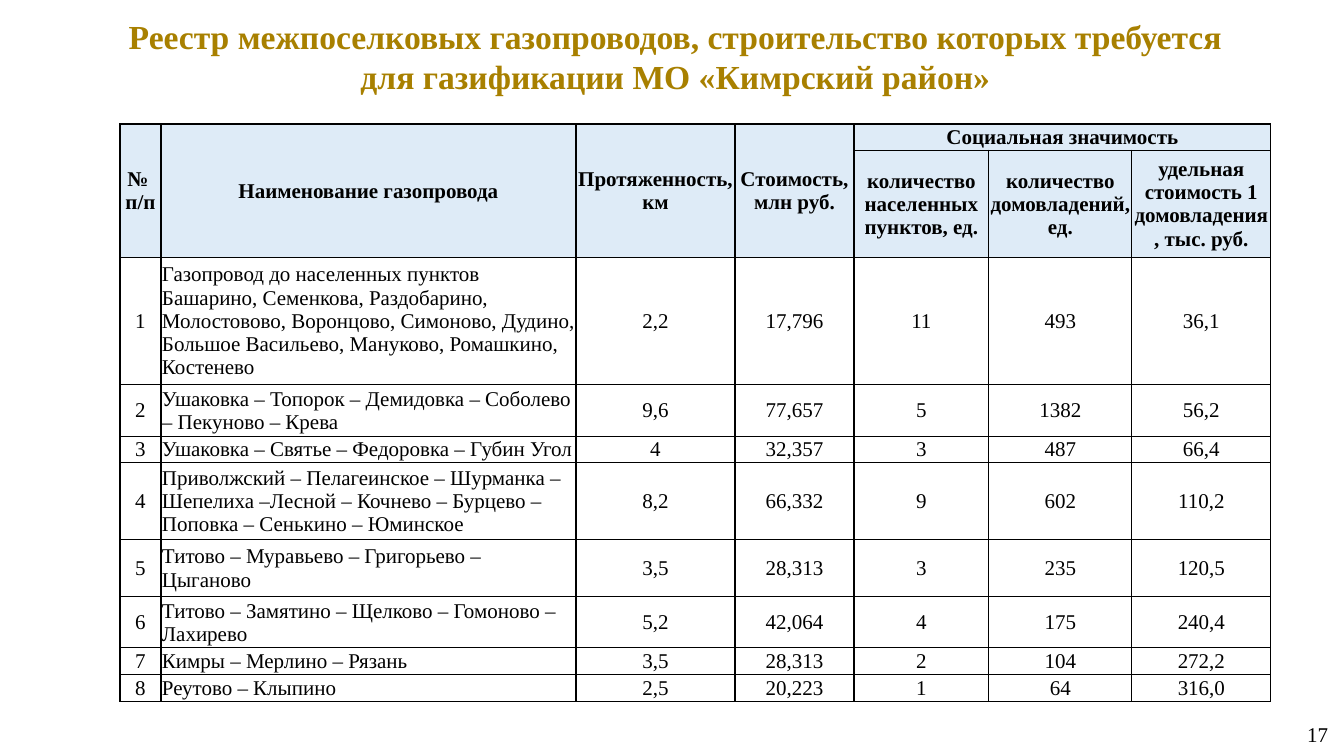
"""Build the slide with the register of inter-settlement gas pipelines."""
from lxml import etree
from pptx import Presentation, util as u
from pptx.dml.color import RGBColor
from pptx.enum import text as t

PX = 12192000 / 1344
FONT = "Times New Roman"
HUES = {"gold": "A88000", "ink": "000000", "head": "DEEBF7"}
NS = "http://schemas.openxmlformats.org/drawingml/2006/main"


def px(*nums):
    return [u.Emu(round(n * PX)) for n in nums]


def style(frame, size, hue, bold, align):
    frame.word_wrap = True
    for para in frame.paragraphs:
        para.alignment = align
        for run in para.runs:
            run.font.name = FONT
            run.font.size = u.Pt(size)
            run.font.bold = bold
            run.font.color.rgb = RGBColor.from_string(HUES[hue])


deck = Presentation()
deck.slide_width, deck.slide_height = px(1344, 756)
slide = deck.slides.add_slide(deck.slide_layouts[5])

title = slide.shapes.title
title.left, title.top, title.width, title.height = px(87, 11, 1185, 92)
frame = title.text_frame
frame.text = ("Реестр межпоселковых газопроводов, строительство которых требуется \n"
              "для газификации МО «Кимрский район» ")
frame.auto_size = t.MSO_AUTO_SIZE.NONE
frame.vertical_anchor = t.MSO_ANCHOR.TOP
style(frame, 24, "gold", True, t.PP_ALIGN.CENTER)

page = slide.shapes.add_textbox(*px(1065, 704, 273, 61)).text_frame
page.text = "17"
page.vertical_anchor = t.MSO_ANCHOR.MIDDLE
style(page, 15, "ink", False, t.PP_ALIGN.RIGHT)

rows = [
    ["№ \vп/п", "Наименование газопровода", "Протяженность, км",
     "Стоимость, млн руб.", "Социальная значимость", "", ""],
    ["", "", "", "", "количество населенных пунктов, ед.",
     "количество\nдомовладений, ед.",
     "удельная стоимость 1 домовладения, тыс. руб."],
    ["1", "Газопровод до населенных пунктов Башарино, Семенкова, Раздобарино, "
     "Молостовово, Воронцово, Симоново, Дудино, Большое Васильево, Мануково, "
     "Ромашкино, Костенево", "2,2", "17,796", "11", "493", "36,1"],
    ["2", "Ушаковка – Топорок – Демидовка – Соболево – Пекуново – Крева",
     "9,6", "77,657", "5", "1382", "56,2"],
    ["3", "Ушаковка – Святье – Федоровка – Губин Угол",
     "4", "32,357", "3", "487", "66,4"],
    ["4", "Приволжский – Пелагеинское – Шурманка – Шепелиха –Лесной – Кочнево – "
     "Бурцево – Поповка – Сенькино – Юминское",
     "8,2", "66,332", "9", "602", "110,2"],
    ["5", "Титово – Муравьево – Григорьево – Цыганово",
     "3,5", "28,313", "3", "235", "120,5"],
    ["6", "Титово – Замятино – Щелково – Гомоново – Лахирево",
     "5,2", "42,064", "4", "175", "240,4"],
    ["7", "Кимры – Мерлино – Рязань", "3,5", "28,313", "2", "104", "272,2"],
    ["8", "Реутово – Клыпино", "2,5", "20,223", "1", "64", "316,0"],
]
wides = [41, 415, 159, 119, 135, 143, 139]
highs = [26, 107, 127, 52, 26, 77, 57, 51, 27, 26]

table = slide.shapes.add_table(
    len(rows), len(wides), *px(120, 124, sum(wides), sum(highs))).table
for col, wide in zip(table.columns, px(*wides)):
    col.width = wide
for row, high in zip(table.rows, px(*highs)):
    row.height = high

for r, row in enumerate(rows):
    for c, words in enumerate(row):
        cell = table.cell(r, c)
        head = r < 2
        cell.text = words
        cell.vertical_anchor = t.MSO_ANCHOR.MIDDLE
        cell.margin_left, cell.margin_right, cell.margin_top, cell.margin_bottom = px(1, 1, 1, 0)
        left = c == 1 and not head
        style(cell.text_frame, 15, "ink", head,
              t.PP_ALIGN.LEFT if left else t.PP_ALIGN.CENTER)
        props = cell._tc.get_or_add_tcPr()
        for side in "LRTB":
            line = etree.SubElement(props, f"{{{NS}}}ln{side}", w=str(u.Pt(1)))
            fill = etree.SubElement(line, f"{{{NS}}}solidFill")
            etree.SubElement(fill, f"{{{NS}}}srgbClr", val=HUES["ink"])
        if head:
            cell.fill.solid()
            cell.fill.fore_color.rgb = RGBColor.from_string(HUES["head"])
        else:
            cell.fill.background()

for c in range(4):
    table.cell(0, c).merge(table.cell(1, c))
table.cell(0, 4).merge(table.cell(0, 6))

deck.save("out.pptx")
